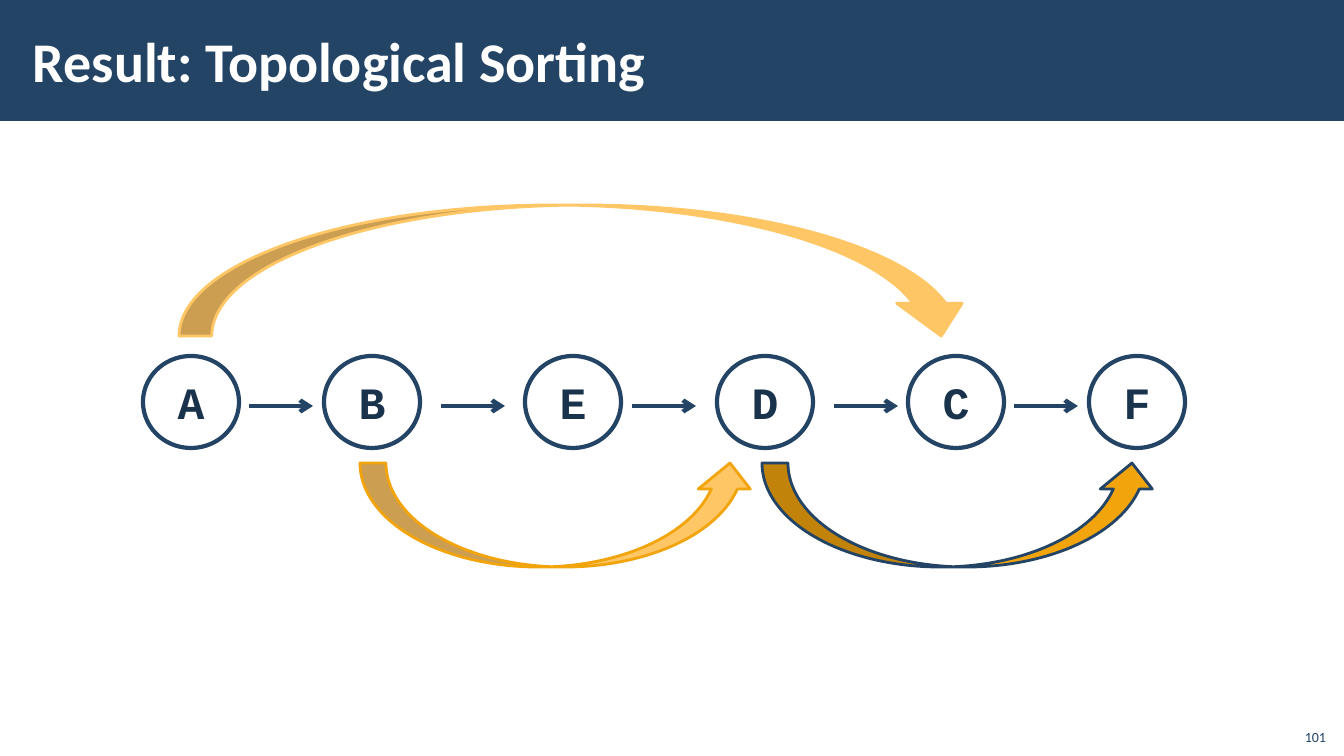
from dataclasses import dataclass

from lxml import etree
from pptx import Presentation
from pptx import util as u
from pptx.dml.color import RGBColor
from pptx.enum import shapes, text
from pptx.oxml.ns import qn

PX = 914400 / 100.8
MSO = shapes.MSO_SHAPE


@dataclass(frozen=True)
class Theme:
    navy: str = "234465"
    ink: str = "1A334C"
    white: str = "FFFFFF"
    amber: str = "F2A40D"
    light_amber: str = "FFC666"
    sans: str = "Calibri"
    mono: str = "Courier New"
    title: int = 40
    node: int = 32
    number: int = 10
    thick: int = 3
    thin: int = 2


T = Theme()

NODE_W, NODE_H = 96, 92
ARROW_LEN = 64
# letter, left of its circle, start of the arrow to the next circle
NODES = [("A", 0, 106), ("B", 181, 298), ("E", 382, 489),
         ("D", 574, 691), ("C", 765, 871), ("F", 946, None)]
# preset, box relative to the first circle, fill, line
CURVES = [
    (MSO.CURVED_DOWN_ARROW, (36, -151, 795, 131), T.light_amber, T.light_amber),
    (MSO.CURVED_UP_ARROW, (619, 107, 396, 104), T.amber, T.navy),
    (MSO.CURVED_UP_ARROW, (217, 107, 396, 104), T.light_amber, T.amber),
]


def emu(*lengths):
    return [u.Emu(round(n * PX)) for n in lengths]


def rgb(color):
    return RGBColor.from_string(color)


def write(sp, words, size, color, font=T.sans, bold=False, align="LEFT",
          anchor="MIDDLE", wrap=True, inset=(10, 5)):
    tf = sp.text_frame
    mx, my = emu(*inset)
    frame = dict(word_wrap=wrap, vertical_anchor=text.MSO_ANCHOR[anchor],
                 margin_left=mx, margin_right=mx, margin_top=my, margin_bottom=my)
    for name, value in frame.items():
        setattr(tf, name, value)
    p = tf.paragraphs[0]
    p.alignment = text.PP_ALIGN[align]
    r = p.add_run()
    r.text = words
    for name, value in dict(size=u.Pt(size), name=font, bold=bold).items():
        setattr(r.font, name, value)
    r.font.color.rgb = rgb(color)


def add_preset(s, preset, box, fill, line=None, width=0):
    sp = s.shapes.add_shape(preset, *emu(*box))
    sp.shadow.inherit = False
    sp.fill.solid()
    sp.fill.fore_color.rgb = rgb(fill)
    if line:
        sp.line.color.rgb = rgb(line)
        sp.line.width = u.Pt(width)
    else:
        sp.line.fill.background()
    return sp


def add_arrow(s, x, y, length):
    cx = s.shapes.add_connector(shapes.MSO_CONNECTOR.STRAIGHT,
                                *emu(x, y, x + length, y))
    cx.line.color.rgb = rgb(T.navy)
    cx.line.width = u.Pt(T.thick)
    etree.SubElement(cx.line._get_or_add_ln(), qn("a:tailEnd"), type="arrow")
    etree.SubElement(cx._element.spPr, qn("a:effectLst"))


def add_node(s, x, y, letter):
    sp = add_preset(s, MSO.OVAL, (x, y, NODE_W, NODE_H), T.white, T.navy, T.thick)
    color = sp.fill._xPr.find(qn("a:solidFill"))[0]
    etree.SubElement(color, qn("a:alpha"), val="50000")
    write(sp, letter, T.node, T.ink, T.mono, True, "CENTER", wrap=False)


def add_header(s, box, title):
    x, y, w, h = box
    add_preset(s, MSO.RECTANGLE, box, T.navy)
    tb = s.shapes.add_textbox(*emu(x + 21, y + 11, 1072, h - 23))
    write(tb, title, T.title, T.white, bold=True, inset=(12, 4))


def add_sorted_graph(s, box):
    """Places the row of nodes and its curves; the box is that of the row."""
    x, y, w, h = box
    for letter, left, arrow in NODES:
        add_node(s, x + left, y, letter)
        if arrow is not None:
            add_arrow(s, x + arrow, y + h // 2 + 4, ARROW_LEN)
    for preset, (dx, dy, cw, ch), fill, line in CURVES:
        add_preset(s, preset, (x + dx, y + dy, cw, ch), fill, line, T.thin)


def add_page_number(s, box, number):
    tb = s.shapes.add_textbox(*emu(*box))
    write(tb, number, T.number, T.navy, align="RIGHT", anchor="BOTTOM")


def main():
    prs = Presentation()
    prs.slide_width, prs.slide_height = emu(1344, 756)
    s = prs.slides.add_slide(prs.slide_layouts[6])
    add_header(s, (0, 0, 1344, 121), "Result: Topological Sorting")
    add_sorted_graph(s, (143, 356, 1042, NODE_H))
    add_page_number(s, (1287, 711, 49, 39), "101")
    prs.save("out.pptx")


if __name__ == "__main__":
    main()
